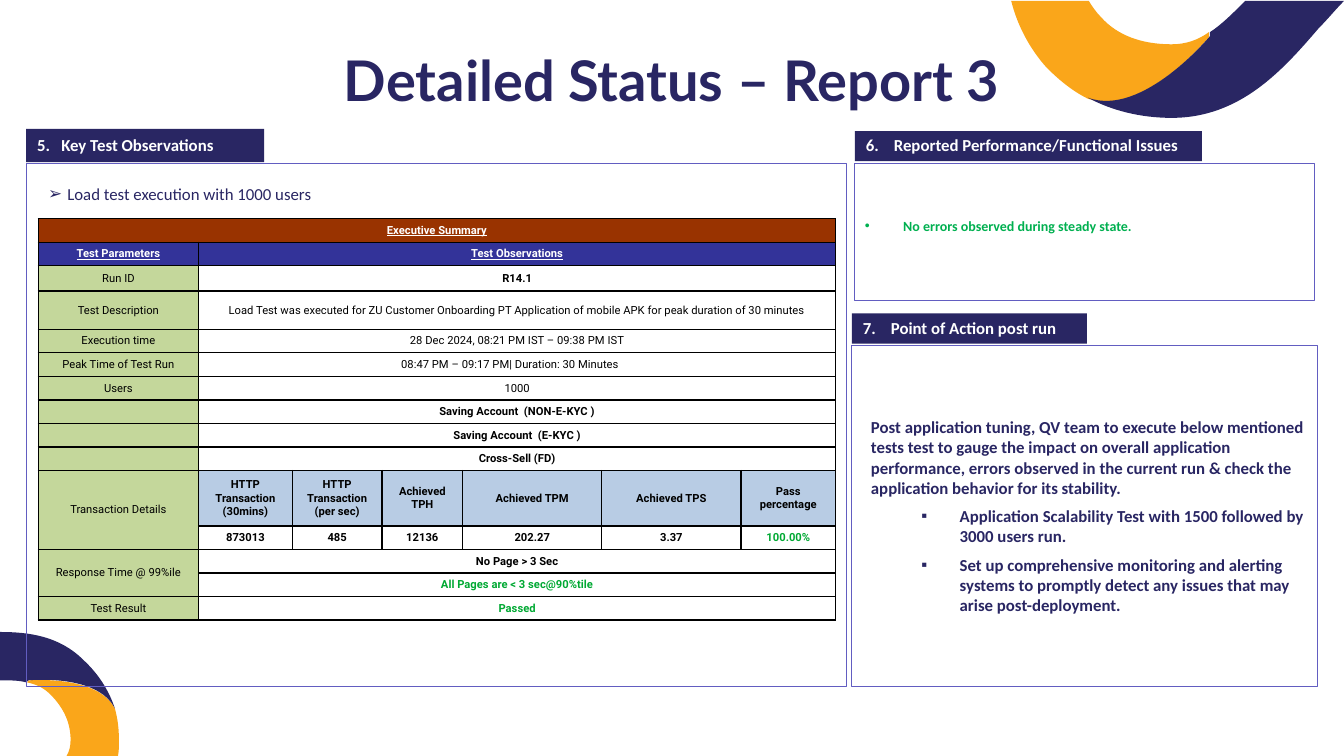
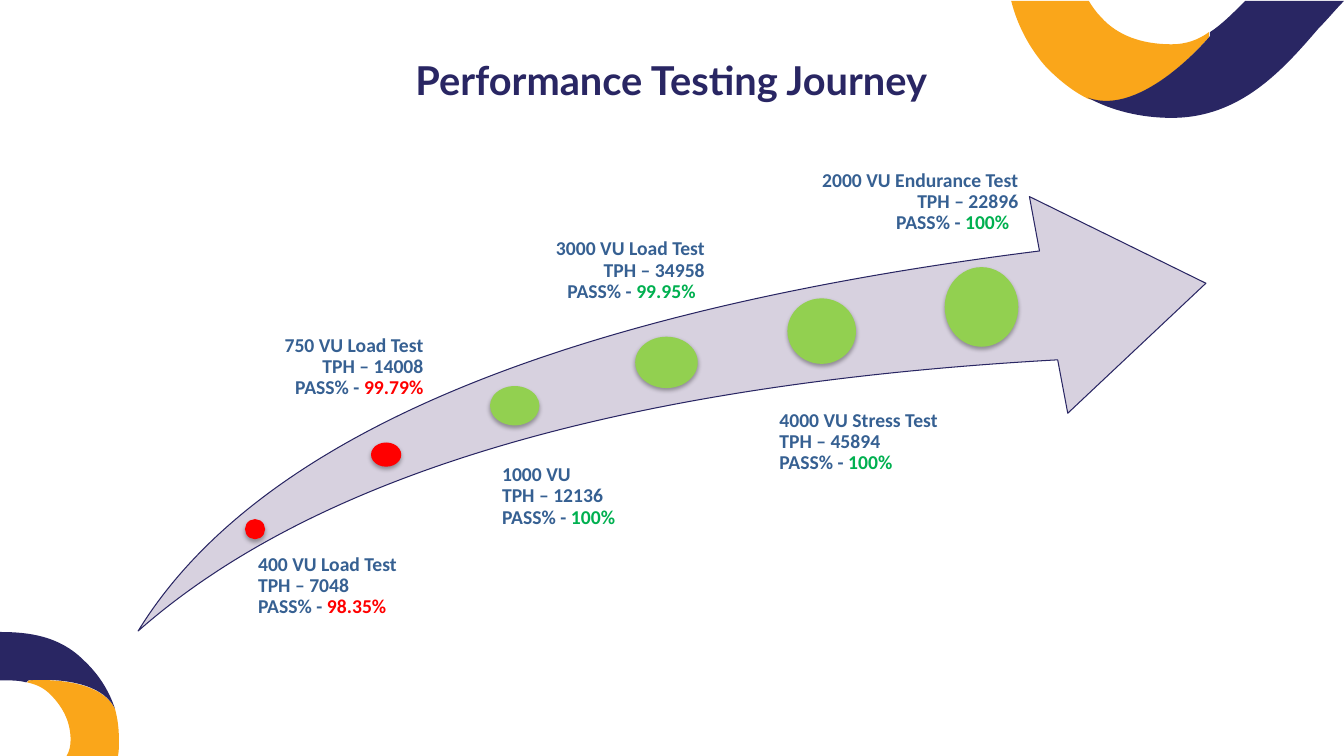
import pptx
import pptx.util
import pptx.dml.color
import pptx.enum.shapes
import pptx.enum.text
import pptx.oxml.ns
from lxml import etree

Inches = pptx.util.Inches
Pt = pptx.util.Pt
qn = pptx.oxml.ns.qn
SHAPE = pptx.enum.shapes.MSO_SHAPE
ALIGN = pptx.enum.text.PP_ALIGN
MIDDLE = pptx.enum.text.MSO_ANCHOR.MIDDLE

NAVY, GOLD, WHITE, BLACK = "292663", "FAA61A", "FFFFFF", "000000"
PANEL_LINE, STEEL, RED, GREEN = "625DC1", "366092", "FF0000", "00B050"
LIME, LILAC = "92D050", "D7D1DF"
RUST, INDIGO, SAGE, SKY, PASSED = "993300", "333399", "C4D79B", "B8CCE4", "00A933"

# Outlines: a start point, then lines (x, y) or curves (two handles and an end)
FOOT_RIBBON = [
    (GOLD, [(1.14, 0.76), (0.97, 0.42, 0.28, 0.48, 0.28, 0.48), (0.27, 0.5),
            (0.36, 0.52, 0.43, 0.55, 0.5, 0.62), (0.64, 0.76, 0.7, 0.91, 0.7, 1.07),
            (0.7, 1.13, 0.69, 1.18, 0.66, 1.23), (1.17, 1.23),
            (1.18, 1.18, 1.18, 1.13, 1.18, 1.09), (1.18, 0.97, 1.17, 0.87, 1.14, 0.76)]),
    (NAVY, [(0.26, 0.5), (0.28, 0.48), (0.28, 0.48, 0.97, 0.41, 1.14, 0.76),
            (1.08, 0.58, 0.98, 0.42, 0.83, 0.28), (0.59, 0.04, 0.29, 0, 0, 0),
            (0, 0.48), (0.1, 0.48, 0.19, 0.48, 0.26, 0.5)]),
]
HEAD_RIBBON = [
    (GOLD, [(1.96, 0.37), (1.96, 0.32), (1.85, 0.4, 1.73, 0.44, 1.59, 0.44),
            (1.29, 0.44, 1.05, 0.35, 0.89, 0.17), (0.84, 0.12, 0.8, 0.06, 0.77, 0.01),
            (0, 0.01), (0.06, 0.25, 0.18, 0.48, 0.35, 0.67),
            (0.47, 0.79, 0.6, 0.9, 0.76, 0.98), (1.3, 1.17, 1.96, 0.37, 1.96, 0.37)]),
    (NAVY, [(1.97, 0.32), (1.97, 0.36), (1.97, 0.36, 1.3, 1.17, 0.76, 0.97),
            (1, 1.1, 1.29, 1.17, 1.59, 1.17), (2.27, 1.17, 2.69, 0.7, 3.05, 0.28),
            (3.14, 0.19, 3.22, 0.09, 3.3, 0.01), (2.32, 0.01),
            (2.19, 0.14, 2.08, 0.25, 1.97, 0.32)]),
]
GROWTH_ARROW = [(0, 4.31), (1.18, 2.39, 4.16, 1.14, 8.94, 0.54), (8.84, 0), (10.59, 0.86),
                (9.22, 2.15), (9.12, 1.62), (4.81, 1.86, 1.77, 2.75, 0, 4.31)]

# Table rows: height, label, values, value format
SUMMARY_COLUMNS = [1.59, 0.93, 0.89, 0.8, 1.38, 1.38, 0.94]
HEADER = dict(color=WHITE, bold=True, underline=True)
STRONG = dict(bold=True)
GOOD = dict(bold=True, color=PASSED)
SUMMARY_ROWS = [
    (0.2, "Executive Summary", [], {}),
    (0.2, "Test Parameters", ["Test Observations"], HEADER),
    (0.25, "Run ID", ["R14.1"], STRONG),
    (0.38, "Test Description", ["Load Test was executed for ZU Customer Onboarding PT Application "
                                "of mobile APK for peak duration of 30 minutes"], {}),
    (0.2, "Execution time", ["28 Dec 2024, 08:21 PM IST – 09:38 PM IST"], {}),
    (0.2, "Peak Time of Test Run", ["08:47 PM – 09:17 PM| Duration: 30 Minutes"], {}),
    (0.2, "Users", ["1000"], {}),
    (0.2, "", ["Saving Account  (NON-E-KYC )"], STRONG),
    (0.2, "", ["Saving Account  (E-KYC )"], STRONG),
    (0.2, "", ["Cross-Sell (FD)"], STRONG),
    (0.55, "Transaction Details", ["HTTP Transaction (30mins)", "HTTP Transaction (per sec)",
                                   "Achieved TPH", "Achieved TPM", "Achieved TPS",
                                   "Pass percentage"], STRONG),
    (0.2, None, ["873013", "485", "12136", "202.27", "3.37", "100.00%"], STRONG),
    (0.2, "Response Time @ 99%ile", ["No Page > 3 Sec"], STRONG),
    (0.2, None, ["All Pages are < 3 sec@90%tile"], GOOD),
    (0.2, "Test Result", ["Passed"], GOOD),
]

# Milestones: dot box, dot colour, label box, label inset, alignment, right indent, wording
MILESTONES = [
    ((1.06, 3.2, 0.2, 0.2), RED, (1, 3.54, 1.73, 0.65), 0.19, "LEFT", 0,
     "400 VU Load Test", "7048", "98.35%", RED),
    ((2.31, 2.44, 0.3, 0.24), RED, (1.04, 1.33, 1.79, 0.72), 0.26, "RIGHT", 0,
     "750 VU Load Test", "14008", "99.79%", RED),
    ((3.49, 1.88, 0.49, 0.39), LIME, (3.26, 2.58, 1.99, 0.79), 0.35, "LEFT", 0,
     "1000 VU", "12136", "100%", GREEN),
    ((4.93, 1.39, 0.62, 0.51), LIME, (3.63, 0.34, 1.99, 0.79), 0.35, "RIGHT", 0.09,
     "3000 VU Load Test", "34958", "99.95%", GREEN),
    ((6.44, 1.01, 0.68, 0.65), LIME, (6.01, 2.04, 1.99, 0.79), 0.35, "LEFT", 0,
     "4000 VU Stress Test", "45894", "100%", GREEN),
    ((8, 0.7, 0.73, 0.79), LIME, (6.28, -0.34, 2.45, 0.79), 0.35, "RIGHT", 0.09,
     "2000 VU Endurance Test", "22896", "100%", GREEN),
]


def rgb(value):
    return pptx.dml.color.RGBColor.from_string(value)


def write(frame, *runs, font="Calibri", size=12, color=NAVY, bold=True, underline=False,
          align="LEFT", spacing=None, before=0, left=0, hang=0, right=0, bullet=None, level=0):
    """Add one paragraph; a run is a text or a (text, colour) pair."""
    frame.word_wrap = True
    paragraph = frame.add_paragraph() if frame.text else frame.paragraphs[0]
    paragraph.alignment = ALIGN[align]
    paragraph.level = level
    paragraph.space_before = Pt(before)
    if spacing:
        paragraph.line_spacing = spacing
    properties = paragraph._p.get_or_add_pPr()
    for side, length in (("marL", left), ("indent", -hang), ("marR", right)):
        properties.set(side, str(int(Inches(length))))
    if bullet:
        tint = etree.SubElement(properties, qn("a:buClr"))
        etree.SubElement(tint, qn("a:srgbClr"), val=color)
        etree.SubElement(properties, qn("a:buFont"), typeface="Arial")
        etree.SubElement(properties, qn("a:buChar"), char=bullet)
    for part in runs:
        text, tone = (part, color) if isinstance(part, str) else part
        run = paragraph.add_run()
        run.text = text
        run.font.name, run.font.size = font, Pt(size)
        run.font.bold, run.font.underline = bold, underline
        run.font.color.rgb = rgb(tone)


def paint(shape, fill=None, line=None):
    shape.shadow.inherit = False
    if fill:
        shape.fill.solid()
        shape.fill.fore_color.rgb = rgb(fill)
    else:
        shape.fill.background()
    if line:
        shape.line.color.rgb = rgb(line)
        shape.line.width = Pt(0.75)
    else:
        shape.line.fill.background()


def block(slide, kind, box, fill=None, line=None):
    shape = slide.shapes.add_shape(kind, *map(Inches, box))
    paint(shape, fill, line)
    shape.text_frame.vertical_anchor = MIDDLE
    return shape


def text_area(slide, box):
    frame = slide.shapes.add_textbox(*map(Inches, box)).text_frame
    frame.vertical_anchor = MIDDLE
    return frame


def outline(slide, left, top, segments, fill, line=None):
    """Freeform through all points; each curve's three points become one Bézier."""
    points = [(Inches(left + s[i]), Inches(top + s[i + 1]))
              for s in segments for i in range(0, len(s), 2)]
    builder = slide.shapes.build_freeform(*points[0])
    builder.add_line_segments(points[1:], close=True)
    shape = builder.convert_to_shape()
    strokes = iter(list(shape._element.iter(qn("a:lnTo"))))
    for segment in segments[1:]:
        first = next(strokes)
        if len(segment) == 6:
            first.tag = qn("a:cubicBezTo")
            for stroke in (next(strokes), next(strokes)):
                first.append(stroke[0])
                stroke.getparent().remove(stroke)
    paint(shape, fill, line)


def base_slide(deck, title, size):
    """Blank slide with corner ribbons and a centred title."""
    slide = deck.slides.add_slide(deck.slide_layouts[6])
    for left, top, ribbon in ((0, 6.27, FOOT_RIBBON), (10.03, 0, HEAD_RIBBON)):
        for fill, segments in ribbon:
            outline(slide, left, top, segments, fill)
    write(text_area(slide, (3.03, 0.4, 7.26, 0.77)), title, font="Lato", size=size, align="CENTER")
    return slide


def panel(slide, box, heading, heading_width, heading_height=0.3, gap=0.02):
    """Framed box with a heading tab above it; returns the box's text frame."""
    left, top = box[:2]
    tab = block(slide, SHAPE.RECTANGLE,
                (left, top - gap - heading_height, heading_width, heading_height), NAVY)
    write(tab.text_frame, heading, color=WHITE, left=0.25, hang=0.24, spacing=0.9)
    return block(slide, SHAPE.RECTANGLE, box, line=PANEL_LINE).text_frame


def fill_cell(cell, text, fill=None, color=BLACK, bold=False, underline=False):
    cell.vertical_anchor = MIDDLE
    cell.margin_left = cell.margin_right = Inches(0.07)
    cell.margin_top = cell.margin_bottom = Inches(0.05)
    if text:
        write(cell.text_frame, text, font="Roboto", size=8, color=color, bold=bold,
              underline=underline, align="CENTER")
    else:
        etree.SubElement(cell.text_frame.paragraphs[0]._p, qn("a:endParaRPr"), sz="800")
    # Borders come before the fill
    properties = cell._tc.get_or_add_tcPr()
    for side in ("lnL", "lnR", "lnT", "lnB"):
        edge = etree.SubElement(properties, qn("a:" + side), w=str(int(Pt(0.96))))
        solid = etree.SubElement(edge, qn("a:solidFill"))
        etree.SubElement(solid, qn("a:srgbClr"), val=BLACK)
    if fill:
        cell.fill.solid()
        cell.fill.fore_color.rgb = rgb(fill)
    else:
        cell.fill.background()


def summary_table(slide, left, top):
    count = len(SUMMARY_COLUMNS)
    size = (sum(SUMMARY_COLUMNS), sum(row[0] for row in SUMMARY_ROWS))
    table = slide.shapes.add_table(len(SUMMARY_ROWS), count,
                                   *map(Inches, (left, top, *size))).table
    for column, width in zip(table.columns, SUMMARY_COLUMNS):
        column.width = Inches(width)
    for r, (height, label, values, style) in enumerate(SUMMARY_ROWS):
        table.rows[r].height = Inches(height)
        label_fill, value_fill = {0: (RUST, RUST), 1: (INDIGO, INDIGO),
                                  10: (SAGE, SKY)}.get(r, (SAGE, None))
        fill_cell(table.cell(r, 0), label, label_fill, **(HEADER if r < 2 else {}))
        for c in range(1, count):
            text = values[c - 1] if c <= len(values) else ""
            look = GOOD if text == "100.00%" else style
            fill_cell(table.cell(r, c), text, value_fill, **look)
        if len(values) < 2:
            table.cell(r, len(values)).merge(table.cell(r, count - 1))
        if label is None:
            table.cell(r - 1, 0).merge(table.cell(r, 0))
    # The peak time sits a little left of centre
    table.cell(5, 1).margin_right = Inches(0.21)


def status_slide(deck):
    slide = base_slide(deck, "Detailed Status – Report 3", 40)

    # Reported issues
    issues = panel(slide, (8.48, 1.62, 4.56, 1.36),
                   "6.\t Reported Performance/Functional Issues", 3.44)
    issues.margin_bottom = Inches(0.17)
    write(issues, "No errors observed during steady state.", size=10, color=GREEN,
          left=0.38, hang=0.38, bullet="•")

    # Next actions
    actions = panel(slide, (8.45, 3.43, 4.62, 3.38), "7.\t Point of Action post run", 2.33)
    write(actions, "Post application tuning, QV team to execute below mentioned tests test to gauge "
          "the impact on overall application performance, errors observed in the current run & "
          "check the application behavior for its stability.", left=0.09, before=6)
    for action in ("Application Scalability Test with 1500 followed by 3000 users run.",
                   "Set up comprehensive monitoring and alerting systems to promptly detect any "
                   "issues that may arise post-deployment."):
        write(actions, action, left=0.97, hang=0.38, before=6, bullet="▪", level=1)

    # Observations
    panel(slide, (0.26, 1.62, 8.14, 5.19), "5.\tKey Test Observations", 2.36, 0.33, 0.01)
    write(text_area(slide, (0.38, 1.76, 6.04, 0.33)), "Load test execution with 1000 users",
          bold=False, left=0.19, hang=0.19, bullet="➢")
    summary_table(slide, 0.38, 2.17)


def milestone_dot(slide, box, fill):
    dot = block(slide, SHAPE.OVAL, box, fill)
    effects = dot._element.spPr.find(qn("a:effectLst"))
    shadow = etree.SubElement(effects, qn("a:outerShdw"), blurRad=str(int(Pt(3.1))),
                              dist=str(int(Pt(1.8))), dir="5400000", rotWithShape="0")
    tint = etree.SubElement(shadow, qn("a:srgbClr"), val=BLACK)
    etree.SubElement(tint, qn("a:alpha"), val="33000")


def journey(slide, left, top):
    """Growth arrow with a dot and a label for each test run."""
    outline(slide, left, top, GROWTH_ARROW, LILAC, NAVY)
    for dot, fill, label, inset, align, right, name, tph, rate, tone in MILESTONES:
        milestone_dot(slide, (left + dot[0], top + dot[1], *dot[2:]), fill)
        frame = text_area(slide, (left + label[0], top + label[1], *label[2:]))
        frame.margin_left = Inches(inset)
        frame.margin_top = frame.margin_right = frame.margin_bottom = 0
        style = dict(size=14, color=STEEL, align=align, spacing=0.9)
        write(frame, name, **style)
        write(frame, f"TPH – {tph}", **style)
        write(frame, "PASS% - ", (rate, tone), right=right, **style)


def main():
    deck = pptx.Presentation()
    deck.slide_width, deck.slide_height = Inches(13.33), Inches(7.5)
    status_slide(deck)
    journey(base_slide(deck, "Performance Testing Journey", 28.4), 1.37, 1.95)
    deck.save("out.pptx")


if __name__ == "__main__":
    main()
